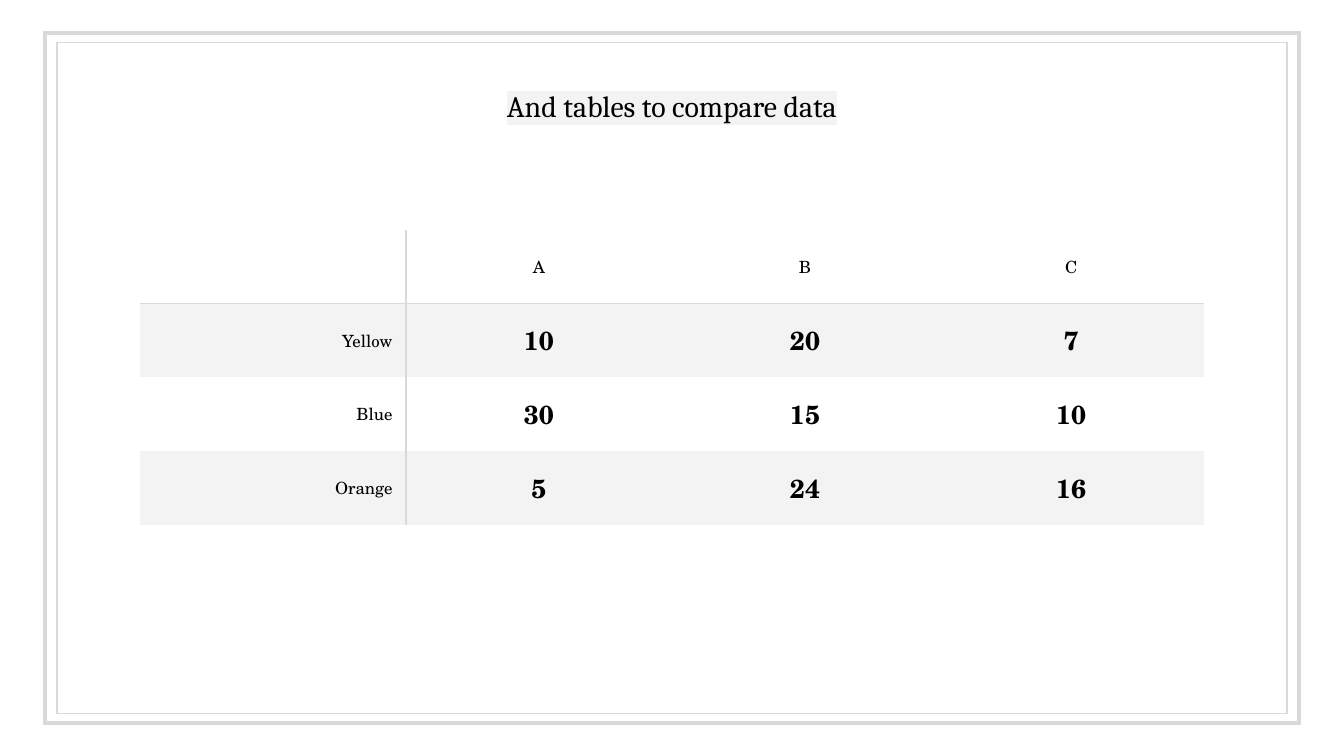
from lxml.etree import SubElement
from pptx import Presentation
from pptx.dml.color import RGBColor
from pptx.enum.shapes import MSO_SHAPE
from pptx.enum.text import MSO_ANCHOR, PP_ALIGN
from pptx.oxml import parse_xml
from pptx.oxml.ns import nsdecls, qn
from pptx.util import Inches, Pt

BLACK = RGBColor(0x00, 0x00, 0x00)
WHITE = RGBColor(0xFF, 0xFF, 0xFF)
PALE = RGBColor(0xF3, 0xF3, 0xF3)
GREY = RGBColor(0xD9, 0xD9, 0xD9)
HEAD, BODY = "Cambria", "TeX Gyre Schola"
DATA = [
    ["", "A", "B", "C"],
    ["Yellow", "10", "20", "7"],
    ["Blue", "30", "15", "10"],
    ["Orange", "5", "24", "16"],
]


def write(frame, text, font=BODY, size=9, bold=False, align=PP_ALIGN.CENTER, mark=None):
    """Put one formatted line of text in a frame."""
    para = frame.paragraphs[0]
    para.alignment = align
    run = para.add_run()
    run.text = text
    run.font.size, run.font.bold = Pt(size), bold
    run.font.color.rgb = BLACK
    if mark is not None:
        # The highlight has to stand between the fill and the font name
        light = SubElement(run.font._element, qn("a:highlight"))
        SubElement(light, qn("a:srgbClr"), val=str(mark))
    run.font.name = font


def edge(cell, sides):
    """Draw the named sides of a cell and clear the others."""
    props = cell._tc.get_or_add_tcPr()
    for spot, side in enumerate("LRTB"):
        paint = "<a:noFill/>"
        if side in sides:
            paint = f'<a:solidFill><a:srgbClr val="{GREY}"/></a:solidFill>'
        line = f'<a:ln{side} {nsdecls("a")} w="{Pt(0.75)}">{paint}</a:ln{side}>'
        props.insert(spot, parse_xml(line))


class Deck:
    """Holds the style and the current slide; boxes are percents of its size."""

    def __init__(self, wide, high):
        self.prs = Presentation()
        self.prs.slide_width, self.prs.slide_height = Inches(wide), Inches(high)
        self.slide = self.prs.slides.add_slide(self.prs.slide_layouts[5])
        fill = self.slide.background.fill
        fill.solid()
        fill.fore_color.rgb = WHITE

    def place(self, left, top, width, height):
        wide, high = self.prs.slide_width / 100, self.prs.slide_height / 100
        return [int(n) for n in (left * wide, top * high, width * wide, height * high)]

    def frame(self, box, weight):
        shape = self.slide.shapes.add_shape(MSO_SHAPE.RECTANGLE, *self.place(*box))
        shape.shadow.inherit = False
        shape.fill.background()
        shape.line.color.rgb, shape.line.width = GREY, Pt(weight)
        # Square corners
        SubElement(shape.line._ln, qn("a:miter"), lim="800000")

    def title(self, text, box):
        shape = self.slide.shapes.title
        shape.left, shape.top, shape.width, shape.height = self.place(*box)
        frame = shape.text_frame
        frame.word_wrap = True
        frame.vertical_anchor = MSO_ANCHOR.MIDDLE
        frame.margin_top = frame.margin_bottom = Inches(0.1)
        write(frame, text, font=HEAD, size=16, mark=PALE)

    def table(self, data, box):
        shape = self.slide.shapes.add_table(len(data), len(data[0]), *self.place(*box))
        grid = shape.table
        grid.first_row = grid.horz_banding = False
        for row, line in enumerate(data):
            for col, text in enumerate(line):
                self.cell(grid.cell(row, col), text, row, col)

    def cell(self, cell, text, row, col):
        cell.vertical_anchor = MSO_ANCHOR.MIDDLE
        cell.margin_left = cell.margin_right = Inches(0.1)
        cell.margin_top = cell.margin_bottom = Inches(0.07)
        # Odd rows are shaded, the header is clear
        if row:
            cell.fill.solid()
            cell.fill.fore_color.rgb = PALE if row % 2 else WHITE
        else:
            cell.fill.background()
        # One rule under the header, one beside the labels
        edge(cell, {0: "R", 1: "L"}.get(col, "") + {0: "B", 1: "T"}.get(row, ""))
        if text:
            value = row > 0 and col > 0
            write(cell.text_frame, text, size=14 if value else 9, bold=value,
                  align=PP_ALIGN.CENTER if col else PP_ALIGN.RIGHT)


def main():
    # Widescreen, 16 to 9
    deck = Deck(10, 10 * 9 / 16)
    # Double border
    deck.frame((4.25, 5.65, 91.5, 88.7), 0.75)
    deck.frame((3.35, 4.4, 93.3, 91.2), 2.25)
    # Heading
    deck.title("And tables to compare data", (5, 6.6, 90, 14.75))
    # Comparison table
    deck.table(DATA, (10.4, 30.4, 79.2, 39))
    deck.prs.save("out.pptx")


if __name__ == "__main__":
    main()
